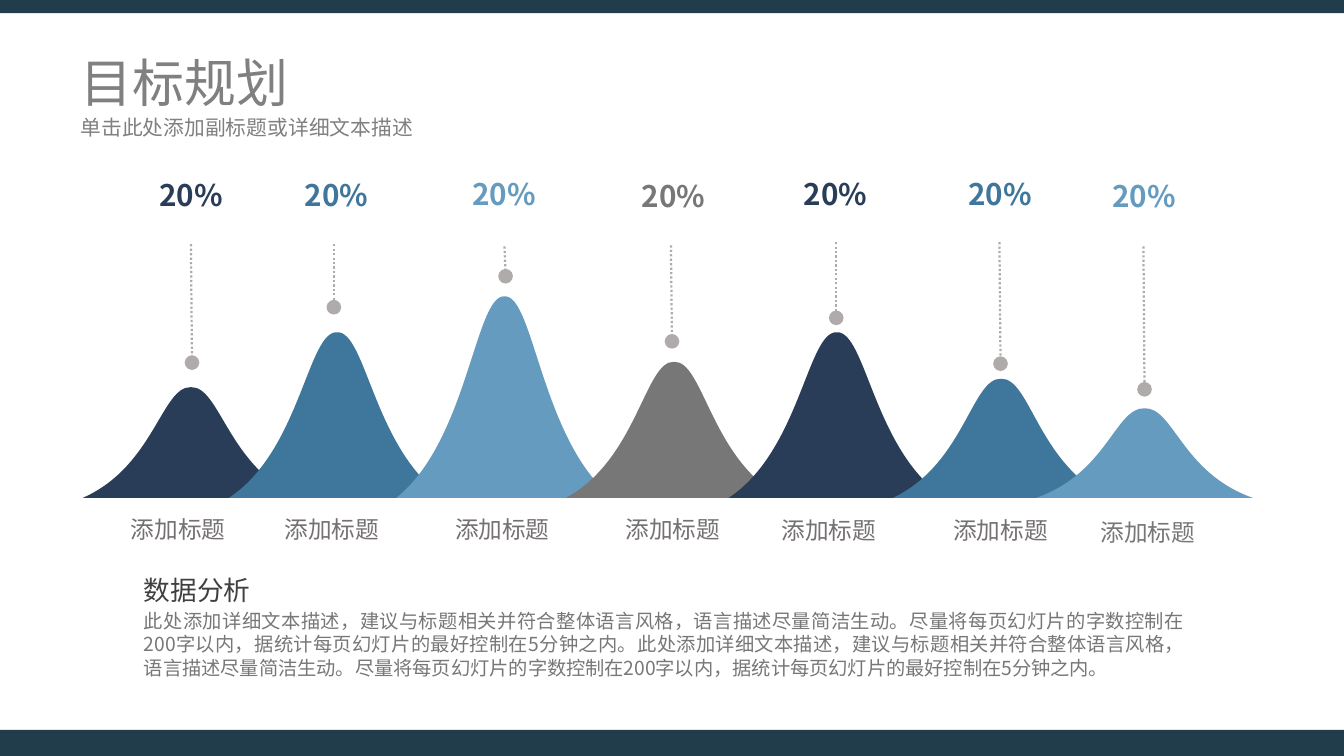
from dataclasses import dataclass

from lxml import etree
from pptx import Presentation
from pptx import util as u
from pptx.dml.color import RGBColor
from pptx.enum import dml, shapes, text
from pptx.oxml import ns


@dataclass(frozen=True)
class Theme:
    font: str = "Noto Sans CJK SC"
    navy: str = "2A3D58"
    teal: str = "3F769B"
    sky: str = "659BBF"
    grey: str = "777777"
    label: str = "767171"
    heading: str = "404040"
    title: str = "808080"
    stem: str = "AFABAB"
    band: str = "213C4B"
    title_size: float = 35
    percent_size: float = 20
    heading_size: float = 18
    label_size: float = 16
    subtitle_size: float = 14
    body_size: float = 13


theme = Theme()


def cells(*counts):
    """Turn counts of square grid cells, 0.1 inch each, into lengths."""
    return [u.Inches(count / 10) for count in counts]


def write(page, place, lines, align, inset=(1, 0.5)):
    """Add a text box; each line is (wording, size, colour, bold)."""
    box = page.shapes.add_textbox(*cells(*place))
    frame = box.text_frame
    frame.word_wrap = True
    frame.margin_left, frame.margin_top = cells(*inset)
    frame.margin_right, frame.margin_bottom = cells(*inset)
    frame.text = "\n".join(line[0] for line in lines)
    for para, (_, size, colour, bold) in zip(frame.paragraphs, lines):
        para.alignment = align
        for span in para.runs:
            span.font.size = u.Pt(size)
            span.font.bold = bold
            span.font.color.rgb = RGBColor.from_string(colour)
            span.font.name = theme.font
            east_asian = etree.SubElement(span._r.get_or_add_rPr(), ns.qn("a:ea"))
            east_asian.set("typeface", theme.font)
    return frame


deck = Presentation()
deck.slide_width, deck.slide_height = cells(126, 70.88)
page = deck.slides.add_slide(deck.slide_layouts[6])

# All in grid cells: bell centre and summit, stem (from x, y, to x, y),
# percent (left, top, width), label (left, top), colours of bell and label
BASE, HALF_WIDTH = 46.68, 10.14
peaks = [
    (17.9, 36.2, (17.9, 22.9, 18, 34), (12.5, 16.1, 10.8), (8.9, 47.8),
     theme.navy, theme.label),
    (31.6, 31, (31.3, 22.9, 31.3, 28.8), (25.9, 16.1, 11.3), (23.3, 47.8),
     theme.teal, theme.label),
    (47.3, 27.6, (47.3, 23.1, 47.4, 25.9), (42.6, 16, 9.3), (39.3, 47.8),
     theme.sky, theme.label),
    (63.2, 33.8, (62.9, 23, 63, 32), (59.1, 16.2, 8.1), (55.3, 47.8),
     theme.grey, theme.label),
    (78.45, 31, (78.4, 22.7, 78.4, 29.8), (74.3, 16, 8.1), (69.9, 47.9),
     theme.navy, theme.label),
    (93.85, 35.4, (93.7, 22.7, 93.8, 34.1), (88.8, 16, 9.9), (86, 47.9),
     theme.teal, theme.label),
    (107.3, 38.2, (107.2, 23.1, 107.3, 36.5), (102.5, 16.2, 9.5), (99.8, 48.1),
     theme.sky, theme.grey),
]

# Corners and curve handles from middle of the base round the summit and
# back, as shares of half width and of height
outline = [(0, 0), (1, 0),
           (0.34, 0.28), (0.27, 1), (0, 0.99),
           (-0.27, 1), (-0.34, 0.28), (-1, 0)]

for (centre, summit, stem_ends, (percent_left, percent_top, percent_width),
     label_place, colour, label_colour) in peaks:
    points = [cells(centre + x * HALF_WIDTH, BASE - y * (BASE - summit))
              for x, y in outline]
    builder = page.shapes.build_freeform(*points[0])
    builder.add_line_segments(points[1:], close=True)
    bell = builder.convert_to_shape()
    bell.shadow.inherit = False
    bell.fill.solid()
    bell.fill.fore_color.rgb = RGBColor.from_string(colour)
    bell.line.fill.background()

    # Each three segments after the first become one cubic curve
    segments = list(bell._element.iter(ns.qn("a:lnTo")))
    for first in (1, 4):
        curve = etree.Element(ns.qn("a:cubicBezTo"))
        segments[first].addprevious(curve)
        for segment in segments[first:first + 3]:
            curve.append(segment[0])
            segment.getparent().remove(segment)

    for place, line in (
            ((*label_place, 15.6, 3.7),
             ("添加标题", theme.label_size, label_colour, False)),
            ((percent_left, percent_top, percent_width, 4.4),
             ("20%", theme.percent_size, colour, True))):
        frame = write(page, place, [line], text.PP_ALIGN.CENTER)
        frame.auto_size = text.MSO_AUTO_SIZE.SHAPE_TO_FIT_TEXT

    stem = page.shapes.add_connector(
        shapes.MSO_CONNECTOR.STRAIGHT, *cells(*stem_ends))
    stem.line.color.rgb = RGBColor.from_string(theme.stem)
    stem.line.width = u.Pt(1.5)
    stem.line.dash_style = dml.MSO_LINE.ROUND_DOT
    etree.SubElement(stem.line._get_or_add_ln(), ns.qn("a:tailEnd"),
                     type="oval", w="lg", len="lg")
    etree.SubElement(stem._element.spPr, ns.qn("a:effectLst"))

analysis = write(
    page, (12.5, 53.3, 99.5, 12.3),
    [("数据分析", theme.heading_size, theme.heading, False),
     ("此处添加详细文本描述，建议与标题相关并符合整体语言风格，语言描述尽量简洁生动。"
      "尽量将每页幻灯片的字数控制在200字以内，据统计每页幻灯片的最好控制在5分钟之内。"
      "此处添加详细文本描述，建议与标题相关并符合整体语言风格，语言描述尽量简洁生动。"
      "尽量将每页幻灯片的字数控制在200字以内，据统计每页幻灯片的最好控制在5分钟之内。",
      theme.body_size, theme.grey, False)],
    text.PP_ALIGN.JUSTIFY)
analysis.paragraphs[1].space_before = u.Pt(2.6)

title = write(page, (6.3, 5.1, 113.4, 5.1),
              [("目标规划", theme.title_size, theme.title, False)],
              text.PP_ALIGN.LEFT, inset=(1.25, 0.6))
title.vertical_anchor = text.MSO_ANCHOR.MIDDLE
write(page, (6.3, 10.2, 113.4, 4.2),
      [("单击此处添加副标题或详细文本描述", theme.subtitle_size, theme.title, False)],
      text.PP_ALIGN.LEFT, inset=(1.25, 0.6))

# Four equal bars along the top and the bottom edge
for bar_top in (-1.2, 68.44):
    for column in range(4):
        bar = page.shapes.add_shape(
            shapes.MSO_SHAPE.RECTANGLE, *cells(column * 31.5, bar_top, 31.5, 2.44))
        bar.shadow.inherit = False
        bar.fill.solid()
        bar.fill.fore_color.rgb = RGBColor.from_string(theme.band)
        bar.line.fill.background()

deck.save("out.pptx")
